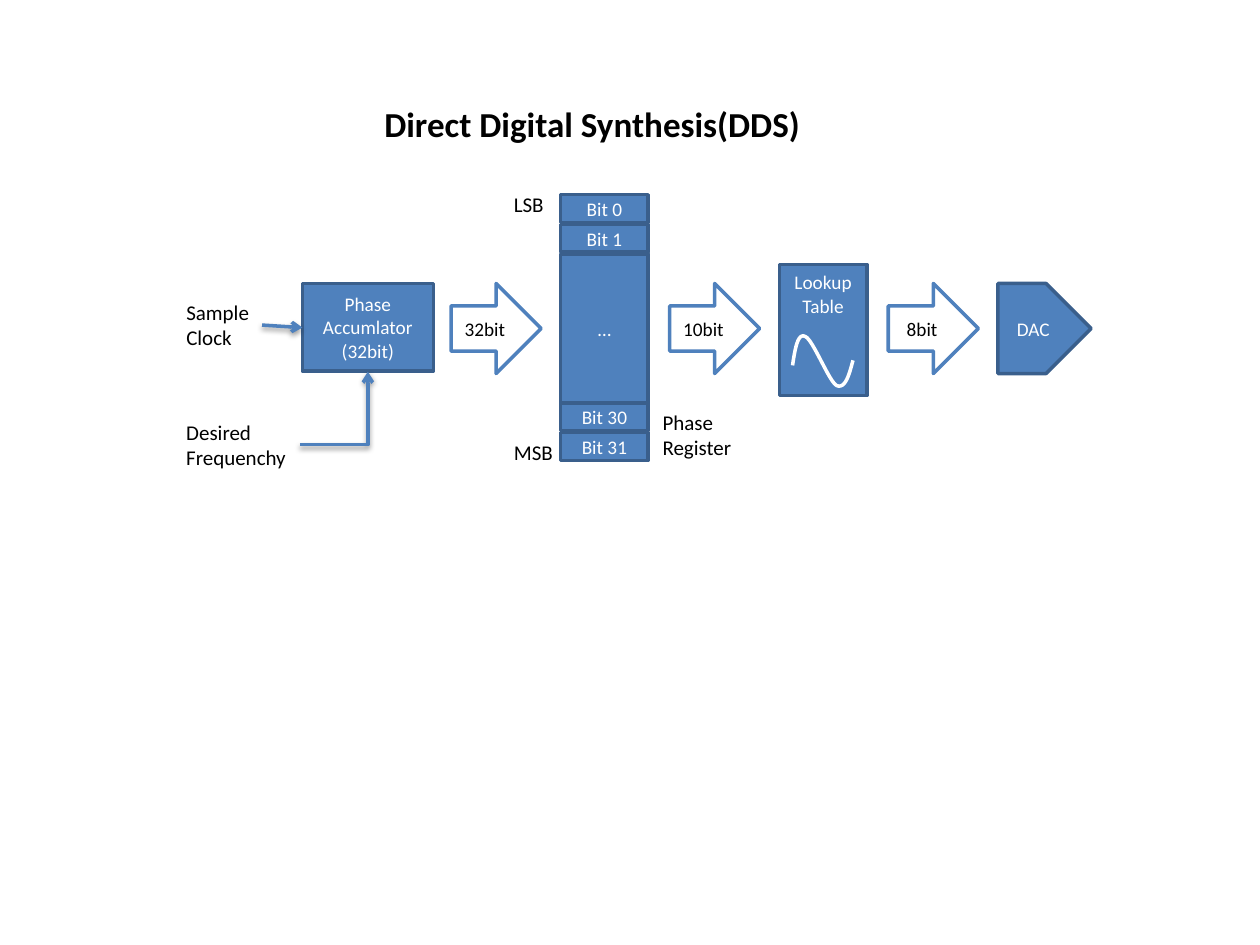
"""Build a slide showing the signal chain of direct digital synthesis."""
from dataclasses import dataclass

from lxml import etree
from pptx import Presentation
from pptx.dml.color import RGBColor
from pptx.enum.shapes import MSO_CONNECTOR, MSO_SHAPE
from pptx.enum.text import MSO_ANCHOR, MSO_AUTO_SIZE, PP_ALIGN
from pptx.oxml.ns import qn
from pptx.util import Inches, Pt

RECT, ARROW, PENTAGON = MSO_SHAPE.RECTANGLE, MSO_SHAPE.RIGHT_ARROW, MSO_SHAPE.PENTAGON
STRAIGHT, ELBOW = MSO_CONNECTOR.STRAIGHT, MSO_CONNECTOR.ELBOW
TOP, MIDDLE = MSO_ANCHOR.TOP, MSO_ANCHOR.MIDDLE
LEFT, CENTER = PP_ALIGN.LEFT, PP_ALIGN.CENTER
NO_AUTOFIT = MSO_AUTO_SIZE.NONE

FONT = "Calibri"
BLUE, DARK_BLUE, WHITE, BLACK = "4F81BD", "3A5F8C", "FFFFFF", "000000"
SLIDE_WIDTH, SLIDE_HEIGHT = Inches(10), Inches(7.5)
COLUMNS, ROWS = 100, 75
STAGE_PITCH = 17.35
FIRST_ARROW, FIRST_STAGE = 35.8, 44.5
CHAIN_TOP, ARROW_SIZE, STAGE_WIDTH = 22.5, 7.15, 6.95
REGISTER_TOP, BIT_PITCH, BIT_GAP = 15.45, 2.36, 0.15
CURVE_STEPS = 12


@dataclass(frozen=True)
class Area:
    """A rectangle measured in grid columns and rows."""
    column: float
    row: float
    width: float
    height: float


@dataclass(frozen=True)
class Block:
    """A labelled shape of the signal chain."""
    label: str
    area: Area
    kind: int = RECT
    fill: str = BLUE
    outline: str = DARK_BLUE
    ink: str = WHITE
    anchor: int = MIDDLE


@dataclass(frozen=True)
class Caption:
    """A free label beside the chain."""
    text: str
    area: Area


@dataclass(frozen=True)
class Signal:
    """An input line that ends in an arrowhead."""
    start: tuple[float, float]
    end: tuple[float, float]
    kind: int = STRAIGHT


def stage_column(index: int) -> float:
    """Return the left column of a stage."""
    return FIRST_STAGE + index * STAGE_PITCH


def bit_area(slot: int, span: int = 1, gap: float = BIT_GAP) -> Area:
    """Return the area of a register cell."""
    return Area(FIRST_STAGE, REGISTER_TOP + slot * BIT_PITCH,
                STAGE_WIDTH, span * BIT_PITCH - gap)


ACCUMULATOR = Block("Phase\nAccumlator\n(32bit)", Area(24, CHAIN_TOP, 10.4, 6.95))
REGISTER = [
    Block("Bit 0", bit_area(0)),
    Block("Bit 1", bit_area(1)),
    Block("…", bit_area(2, span=5, gap=0)),
    Block("Bit 30", bit_area(7)),
    Block("Bit 31", bit_area(8)),
]
LOOKUP = Block("Lookup\nTable", Area(stage_column(1), 21, STAGE_WIDTH, 10.4), anchor=TOP)
CONVERTER = Block("DAC", Area(stage_column(2), CHAIN_TOP, 7.4, ARROW_SIZE), PENTAGON)
BUSES = [
    Block(width, Area(FIRST_ARROW + index * STAGE_PITCH, CHAIN_TOP, ARROW_SIZE, ARROW_SIZE),
          ARROW, WHITE, BLUE, BLACK)
    for index, width in enumerate(("32bit", "10bit", "8bit"))
]
CAPTIONS = [
    Caption("Sample\nClock", Area(13.8, 23.3, 7.1, 5)),
    Caption("Desired\nFrequenchy", Area(13.8, 32.8, 10, 5)),
    Caption("LSB", Area(39.8, 14.7, 4.4, 3)),
    Caption("MSB", Area(39.8, 34.4, 5.1, 3)),
    Caption("Phase\nRegister", Area(51.6, 32, 7.5, 5)),
]
SIGNALS = [Signal((20.8, 25.8), (24, 26)), Signal((23.8, 35.3), (29.2, 29.5), ELBOW)]
TITLE = Caption("Direct Digital Synthesis(DDS)", Area(29.5, 7.6, 35.3, 4.4))
SINE = [
    ((62.9, 29), (63.1, 27.7), (63.3, 26.4), (63.9, 26.7)),
    ((63.9, 26.7), (64.5, 26.9), (65.8, 30.3), (66.4, 30.6)),
    ((66.4, 30.6), (67.1, 30.9), (67.4, 29.7), (67.7, 28.6)),
]


def color(value: str) -> RGBColor:
    """Turn a hex string into a colour."""
    return RGBColor.from_string(value)


def across(columns: float) -> int:
    """Convert columns to a slide length."""
    return round(SLIDE_WIDTH * columns / COLUMNS)


def down(rows: float) -> int:
    """Convert rows to a slide length."""
    return round(SLIDE_HEIGHT * rows / ROWS)


def box(area: Area) -> tuple[int, int, int, int]:
    """Return left, top, width and height of an area."""
    return across(area.column), down(area.row), across(area.width), down(area.height)


def write(frame, text: str, *, size: float, ink: str = BLACK, bold: bool = False,
          align=LEFT, anchor=TOP, wrap: bool = False) -> None:
    """Fill a text frame with formatted lines."""
    frame.text = text
    frame.auto_size, frame.word_wrap, frame.vertical_anchor = NO_AUTOFIT, wrap, anchor
    for paragraph in frame.paragraphs:
        paragraph.alignment = align
        font = paragraph.runs[0].font
        font.name, font.size, font.bold = FONT, Pt(size), bold
        font.color.rgb = color(ink)


def stroke(line, hex_color: str) -> None:
    """Give a line its colour and width."""
    line.color.rgb, line.width = color(hex_color), Pt(2)


def draw_block(shapes, block: Block) -> None:
    """Draw a filled shape with its label."""
    shape = shapes.add_shape(block.kind, *box(block.area))
    shape.shadow.inherit = False
    shape.fill.solid()
    shape.fill.fore_color.rgb = color(block.fill)
    stroke(shape.line, block.outline)
    frame = shape.text_frame
    frame.margin_left = frame.margin_right = 0
    write(frame, block.label, size=11, ink=block.ink, align=CENTER,
          anchor=block.anchor, wrap=True)


def draw_caption(shapes, caption: Caption) -> None:
    """Draw a free label."""
    write(shapes.add_textbox(*box(caption.area)).text_frame, caption.text, size=12)


def draw_signal(shapes, signal: Signal) -> None:
    """Draw an arrow with a soft shadow."""
    (x1, y1), (x2, y2) = signal.start, signal.end
    connector = shapes.add_connector(signal.kind, across(x1), down(y1), across(x2), down(y2))
    stroke(connector.line, BLUE)
    properties = connector._element.spPr
    if signal.kind == ELBOW:
        properties.find(qn("a:prstGeom")).set("prst", "bentConnector2")
    etree.SubElement(properties.find(qn("a:ln")), qn("a:tailEnd"), type="arrow")
    effects = etree.SubElement(properties, qn("a:effectLst"))
    shadow = etree.SubElement(effects, qn("a:outerShdw"), blurRad=str(Pt(3.1)),
                              dist=str(Pt(1.6)), dir="5400000", rotWithShape="0")
    tint = etree.SubElement(shadow, qn("a:srgbClr"), val=BLACK)
    etree.SubElement(tint, qn("a:alpha"), val="38000")


def bezier(controls, t: float) -> tuple[int, int]:
    """Return the slide position on a cubic curve at t."""
    weights = ((1 - t) ** 3, 3 * t * (1 - t) ** 2, 3 * t ** 2 * (1 - t), t ** 3)
    x, y = (sum(w * c for w, c in zip(weights, axis)) for axis in zip(*controls))
    return across(x), down(y)


def draw_wave(shapes) -> None:
    """Draw the sine held in the lookup table."""
    points = [bezier(arc, step / CURVE_STEPS) for arc in SINE
              for step in range(1, CURVE_STEPS + 1)]
    builder = shapes.build_freeform(*bezier(SINE[0], 0))
    builder.add_line_segments(points, close=False)
    wave = builder.convert_to_shape()
    wave.shadow.inherit = False
    wave.fill.background()
    stroke(wave.line, WHITE)


def main() -> None:
    """Build and save the slide."""
    deck = Presentation()
    deck.slide_width, deck.slide_height = SLIDE_WIDTH, SLIDE_HEIGHT
    shapes = deck.slides.add_slide(deck.slide_layouts[5]).shapes
    title = shapes.title
    title.left, title.top, title.width, title.height = box(TITLE.area)
    write(title.text_frame, TITLE.text, size=20, bold=True)
    draw_block(shapes, ACCUMULATOR)
    register = shapes.add_group_shape().shapes
    for cell in REGISTER:
        draw_block(register, cell)
    lookup = shapes.add_group_shape().shapes
    draw_block(lookup, LOOKUP)
    draw_wave(lookup)
    for block in (CONVERTER, *BUSES):
        draw_block(shapes, block)
    for caption in CAPTIONS:
        draw_caption(shapes, caption)
    for signal in SIGNALS:
        draw_signal(shapes, signal)
    deck.save("out.pptx")


if __name__ == "__main__":
    main()
